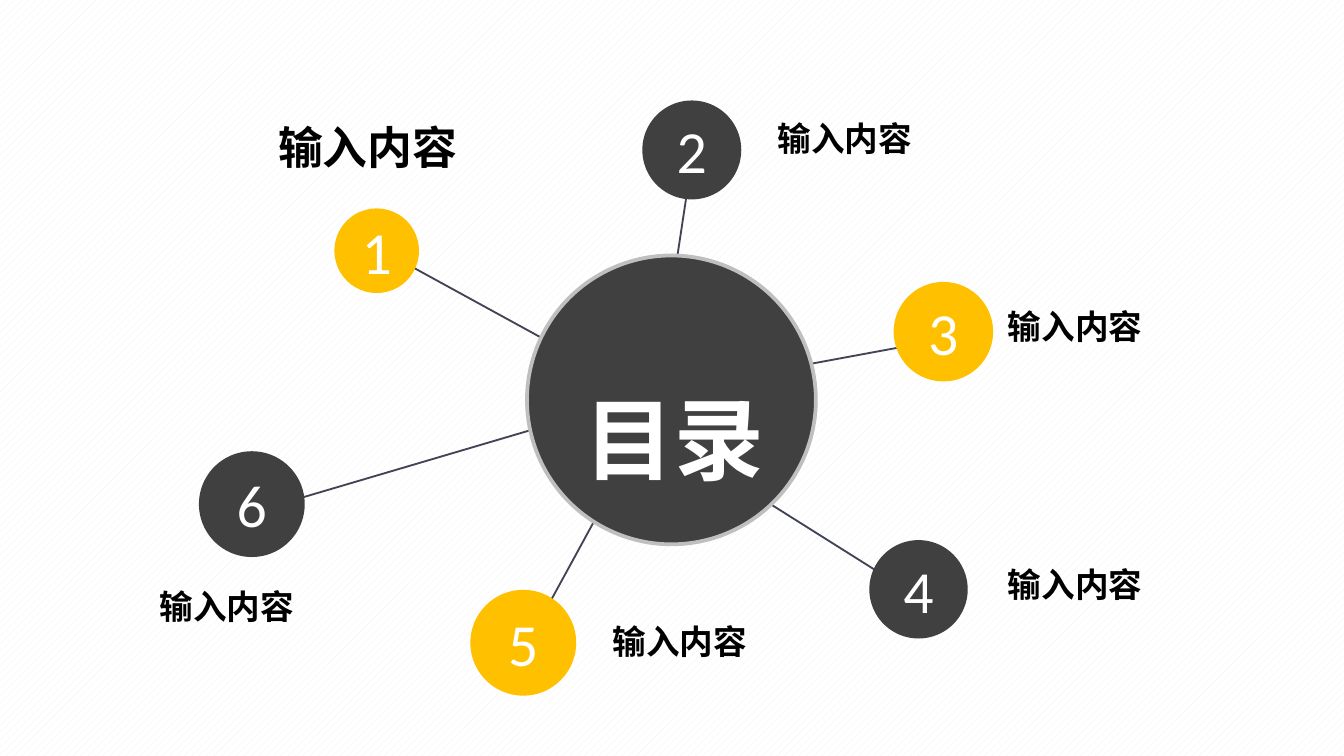
from lxml import etree
from pptx import Presentation
from pptx.dml.color import RGBColor
from pptx.enum.dml import MSO_PATTERN
from pptx.enum.shapes import MSO_CONNECTOR, MSO_SHAPE
from pptx.enum.text import MSO_ANCHOR, MSO_AUTO_SIZE, PP_ALIGN
from pptx.oxml.ns import qn
from pptx.util import Cm, Pt

DARK, GOLD, GREY = "404040", "FFC000", "BFBFBF"
LINE, BLACK, WHITE = "414455", "000000", "FFFFFF"
LATIN, CJK = "Calibri", "Noto Sans CJK SC"


def rgb(value):
    return RGBColor.from_string(value)


class Board:
    """Holds the style and the current slide."""

    def __init__(self, s):
        self.s = s

    def background(self, fore, back):
        fill = self.s.background.fill
        fill.patterned()
        fill.pattern = MSO_PATTERN.WIDE_UPWARD_DIAGONAL
        fill.fore_color.rgb = rgb(fore)
        fill.back_color.rgb = rgb(back)

    def set_text(self, tf, text, size, font, color, bold=False, align=PP_ALIGN.LEFT):
        tf.text = text
        tf.word_wrap = False
        p = tf.paragraphs[0]
        p.alignment = align
        r = p.runs[0]
        r.font.size, r.font.bold, r.font.name = Pt(size), bold, font
        r.font.color.rgb = rgb(color)
        ea = etree.SubElement(r._r.get_or_add_rPr(), qn("a:ea"))
        ea.set("typeface", font)

    def spoke(self, x1, y1, x2, y2):
        c = self.s.shapes.add_connector(
            MSO_CONNECTOR.STRAIGHT, Cm(x1), Cm(y1), Cm(x2), Cm(y2))
        c.line.color.rgb = rgb(LINE)
        c.line.width = Pt(1)
        etree.SubElement(c._element.spPr, qn("a:effectLst"))

    def circle(self, x, y, d, fill, number=None, border=None):
        sp = self.s.shapes.add_shape(MSO_SHAPE.OVAL, Cm(x), Cm(y), Cm(d), Cm(d))
        sp.shadow.inherit = False
        sp.fill.solid()
        sp.fill.fore_color.rgb = rgb(fill)
        if border:
            sp.line.color.rgb = rgb(border)
            sp.line.width = Pt(2)
        else:
            sp.line.fill.background()
        if number:
            tf = sp.text_frame
            tf.vertical_anchor = MSO_ANCHOR.MIDDLE
            self.set_text(tf, number, 32, LATIN, WHITE, align=PP_ALIGN.CENTER)

    def label(self, text, x, y, w=3.07, h=1.02, size=18, color=BLACK,
              align=PP_ALIGN.LEFT):
        tf = self.s.shapes.add_textbox(Cm(x), Cm(y), Cm(w), Cm(h)).text_frame
        self.set_text(tf, text, size, CJK, color, True, align)
        tf.auto_size = MSO_AUTO_SIZE.SHAPE_TO_FIT_TEXT


# Each topic: spoke ends, circle (left, top, diameter), label place
TOPICS = [
    ((10.59, 6.58, 7.67, 4.98), (6.32, 3.94, 1.6), (4.98, 2.13)),
    ((12.6, 6.17, 12.98, 3.66), (12.14, 1.9, 1.87), (14.45, 2.11)),
    ((13.79, 7.16, 18.01, 6.38), (16.89, 5.33, 1.88), (18.8, 5.66)),
    ((13.34, 8.76, 16.69, 10.87), (16.43, 10.21, 1.86), (18.8, 10.54)),
    ((11.71, 8.97, 10.16, 11.81), (8.89, 11.15, 2), (11.33, 11.61)),
    ((10.54, 7.98, 5.56, 9.45), (3.76, 8.53, 2), (2.77, 10.95)),
]
FIRST = dict(w=3.94, h=1.27, size=24, align=PP_ALIGN.CENTER)


def main():
    prs = Presentation()
    prs.slide_width, prs.slide_height = Cm(25.4), Cm(14.29)
    board = Board(prs.slides.add_slide(prs.slide_layouts[6]))
    board.background("F2F2F2", WHITE)

    # Numbered topics, colours alternating; the first label is larger
    for n, (spoke, circle, place) in enumerate(TOPICS, 1):
        board.spoke(*spoke)
        board.circle(*circle, GOLD if n % 2 else DARK, number=str(n))
        board.label("输入内容", *place, **(FIRST if n == 1 else {}))

    # Hub covers the inner ends of the spokes
    board.circle(9.96, 4.83, 5.46, DARK, border=GREY)
    board.label("目录", 10.77, 7.14, 3.94, 2.31, 48, WHITE, PP_ALIGN.CENTER)

    prs.save("out.pptx")


if __name__ == "__main__":
    main()
